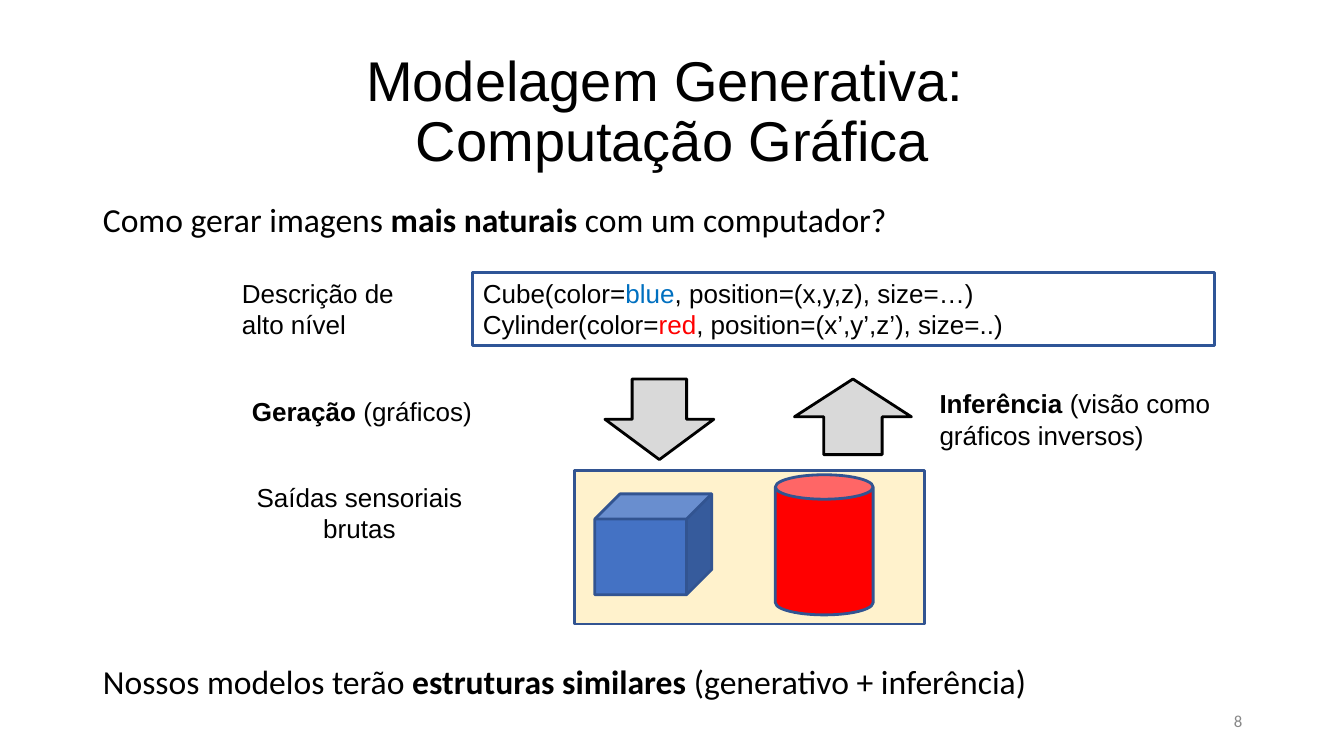
from pptx import Presentation
from pptx.dml.color import RGBColor
from pptx.enum.shapes import MSO_SHAPE as SHAPE
from pptx.enum.text import MSO_ANCHOR as ANCHOR, MSO_AUTO_SIZE as AUTO, PP_ALIGN as ALIGN
from pptx.oxml import parse_xml
from pptx.oxml.ns import nsdecls
from pptx.util import Inches, Pt

BLACK = RGBColor(0x00, 0x00, 0x00)
GRAY = RGBColor(0xD9, 0xD9, 0xD9)
NUMBER_GRAY = RGBColor(0x88, 0x88, 0x88)
NAVY = RGBColor(0x2F, 0x55, 0x97)
EDGE = RGBColor(0x32, 0x54, 0x91)
CREAM = RGBColor(0xFF, 0xF2, 0xCC)
CUBE_BLUE = RGBColor(0x44, 0x72, 0xC4)
BLUE = RGBColor(0x00, 0x70, 0xC0)
RED = RGBColor(0xFF, 0x00, 0x00)

LABEL = {"name": "Arial", "size": Pt(18.6)}
TITLE = {"name": "Arial", "size": Pt(40)}
BODY = {"name": "Calibri", "size": Pt(24)}
NUMBER = {"name": "Calibri", "size": Pt(12)}
BREAK = "\n"


def place(sp, box):
    for key, value in zip(("left", "top", "width", "height"), box):
        setattr(sp, key, Inches(value))


def add_runs(p, runs, font, color=BLACK):
    for item in runs:
        if item == BREAK:
            p.add_line_break()
            continue
        text, extra = item if isinstance(item, tuple) else (item, {})
        style = {"bold": False, **font, **extra}
        run_color = style.pop("color", color)
        r = p.add_run()
        r.text = text
        for key, value in style.items():
            setattr(r.font, key, value)
        r.font.color.rgb = run_color


def fill_text(tf, lines, font, color=BLACK, anchor=ANCHOR.TOP, wrap=True, **layout):
    frame = {"auto_size": AUTO.NONE, "vertical_anchor": anchor, "word_wrap": wrap}
    for key, value in frame.items():
        setattr(tf, key, value)
    for i, runs in enumerate(lines):
        p = tf.add_paragraph() if i else tf.paragraphs[0]
        for key, value in layout.items():
            setattr(p, key, value)
        add_runs(p, runs, font, color)


def add_label(s, box, runs, font=LABEL, **options):
    sp = s.shapes.add_textbox(*map(Inches, box))
    fill_text(sp.text_frame, [runs], font, **options)


def add_figure(s, kind, box, fill, line, width=2):
    sp = s.shapes.add_shape(kind, *map(Inches, box))
    sp.shadow.inherit = False
    if fill is None:
        sp.fill.background()
    else:
        sp.fill.solid()
        sp.fill.fore_color.rgb = fill
    sp.line.color.rgb = line
    sp.line.width = Pt(width)
    return sp


def add_title(s):
    title = s.shapes.title
    place(title, (0.92, 0.4, 11.5, 1.45))
    fill_text(title.text_frame, [["Modelagem Generativa: ", BREAK, "Computação Gráfica"]],
              TITLE, anchor=ANCHOR.MIDDLE, alignment=ALIGN.CENTER, line_spacing=0.9)


def add_body(s):
    body = s.placeholders[1]
    place(body, (0.92, 2, 11.49, 5.22))
    lines = [
        ["Como gerar imagens ", ("mais naturais", {"bold": True}), " com um computador?"],
        ["Nossos modelos terão ", ("estruturas similares ", {"bold": True}),
         "(generativo + inferência)"],
    ]
    fill_text(body.text_frame, lines, BODY, line_spacing=0.8)
    for p, gap in zip(body.text_frame.paragraphs, (0, 307)):
        p.space_before = Pt(gap)
        pPr = p._p.get_or_add_pPr()
        pPr.set("marL", "0")
        pPr.set("indent", "0")
        pPr.append(parse_xml(f"<a:buNone {nsdecls('a')}/>"))


def add_description(s):
    add_label(s, (2.3, 2.7, 2.09, 0.73), ["Descrição de alto nível"])
    code = add_figure(s, SHAPE.RECTANGLE, (4.69, 2.7, 7.36, 0.73), None, NAVY, 2.25)
    lines = [
        ["Cube(color=", ("blue", {"color": BLUE}), ", position=(x,y,z), size=…)"],
        ["Cylinder(color=", ("red", {"color": RED}), ", position=(x’,y’,z’), size=..)"],
    ]
    fill_text(code.text_frame, lines, LABEL, alignment=ALIGN.LEFT)


def add_directions(s):
    add_figure(s, SHAPE.DOWN_ARROW, (6, 3.76, 1.08, 0.8), GRAY, BLACK)
    add_label(s, (2.4, 3.87, 2.41, 0.41),
              [("Geração", {"bold": True}), " (gráficos)"], wrap=False)
    add_figure(s, SHAPE.UP_ARROW, (7.88, 3.76, 1.16, 0.75), GRAY, BLACK)
    add_label(s, (9.22, 3.8, 3.74, 0.73),
              [("Inferência", {"bold": True}), " (visão como gráficos inversos)"])


def add_scene(s):
    for kind, box, fill in (
        (SHAPE.RECTANGLE, (5.7, 4.67, 3.47, 1.52), CREAM),
        (SHAPE.CUBE, (5.9, 4.9, 1.16, 1), CUBE_BLUE),
        (SHAPE.CAN, (7.69, 4.71, 0.97, 1.39), RED),
    ):
        add_figure(s, kind, box, fill, EDGE)
    add_label(s, (2.41, 4.73, 2.31, 0.73), ["Saídas sensoriais brutas"],
              alignment=ALIGN.CENTER)


def main():
    prs = Presentation()
    prs.slide_width, prs.slide_height = Inches(13.33), Inches(7.5)
    s = prs.slides.add_slide(prs.slide_layouts[1])
    add_title(s)
    add_body(s)
    add_description(s)
    add_directions(s)
    add_scene(s)
    add_label(s, (9.42, 6.95, 3, 0.4), ["8"], NUMBER, color=NUMBER_GRAY,
              anchor=ANCHOR.MIDDLE, alignment=ALIGN.RIGHT)
    prs.save("out.pptx")


if __name__ == "__main__":
    main()
